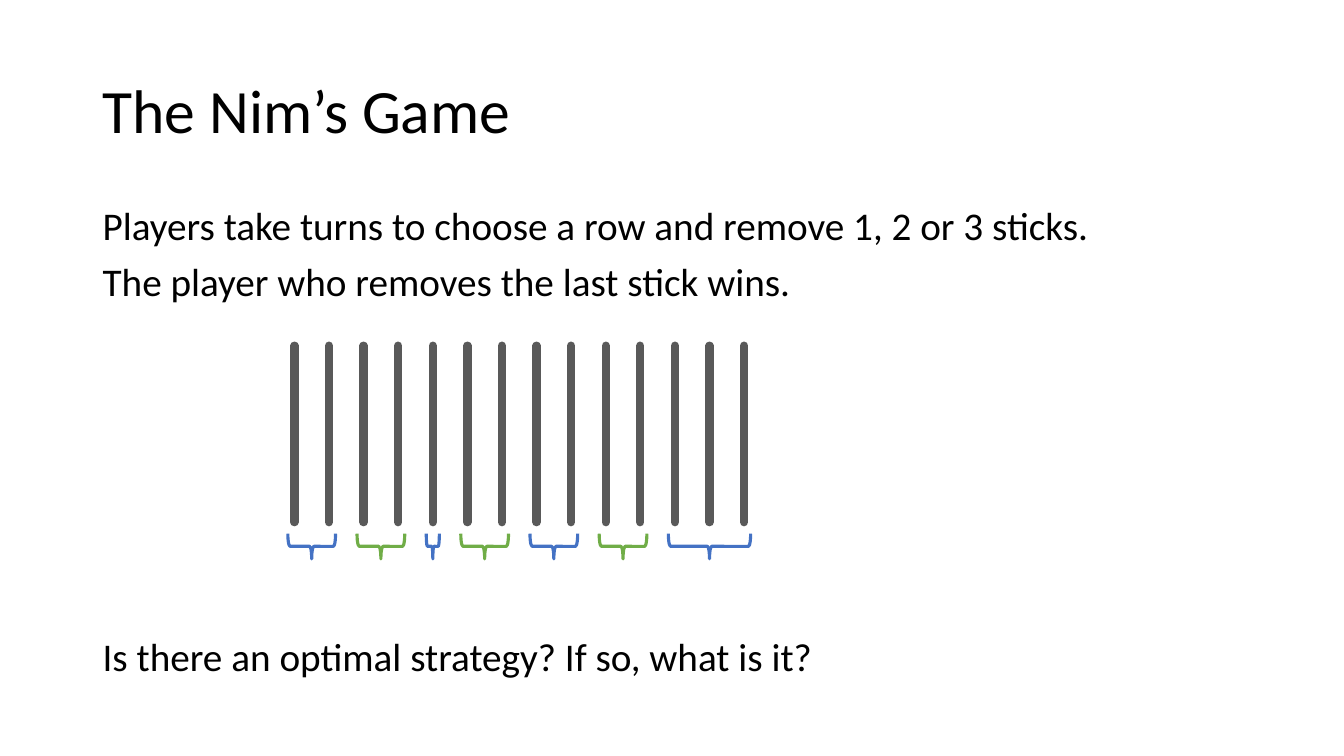
from pptx import Presentation
from pptx.util import Inches, Pt
from pptx.dml.color import RGBColor
from pptx.enum.shapes import MSO_SHAPE, MSO_CONNECTOR
from pptx.enum.text import MSO_ANCHOR
from lxml.etree import SubElement
from pptx.oxml.ns import qn

TITLE = "The Nim’s Game"
RULES = ["Players take turns to choose a row and remove 1, 2 or 3 sticks.",
         "The player who removes the last stick wins."]
QUESTION = "Is there an optimal strategy? If so, what is it?"
MOVES = [2, 2, 1, 2, 2, 2, 3]
PLAYER_COLORS = ["4472C4", "70AD47"]

STICK_LEFT, STICK_TOP, STICK_BOTTOM = 2.92, 3.43, 5.18
STICK_GAP = 4.46 / (sum(MOVES) - 1)
BRACE_DEPTH, BRACE_MARGIN, BRACE_MID = 0.25, 0.13, 5.42

prs = Presentation()
prs.slide_width, prs.slide_height = Inches(13.33), Inches(7.5)
s = prs.slides.add_slide(prs.slide_layouts[6])


def rgb(color):
    return RGBColor.from_string(color)


def add_text(lines, top, height, size=28, before=10, anchor=MSO_ANCHOR.TOP):
    box = s.shapes.add_textbox(Inches(0.92), Inches(top), Inches(11.5), Inches(height))
    tf = box.text_frame
    tf.word_wrap = True
    tf.vertical_anchor = anchor
    for i, line in enumerate(lines):
        p = tf.paragraphs[0] if i == 0 else tf.add_paragraph()
        p.line_spacing = 0.9
        p.space_before = Pt(before)
        r = p.add_run()
        r.text = line
        r.font.name, r.font.size = "Calibri", Pt(size)
        r.font.color.rgb = rgb("000000")


def add_stick(x):
    sp = s.shapes.add_connector(MSO_CONNECTOR.STRAIGHT, Inches(x), Inches(STICK_TOP),
                                Inches(x), Inches(STICK_BOTTOM))
    sp.line.color.rgb, sp.line.width = rgb("595959"), Pt(6)
    sp.line._get_or_add_ln().set("cap", "rnd")
    SubElement(sp._element.spPr, qn("a:effectLst"))


def add_brace(mid, length, color):
    sp = s.shapes.add_shape(MSO_SHAPE.RIGHT_BRACE,
                            Inches(mid - BRACE_DEPTH / 2), Inches(BRACE_MID - length / 2),
                            Inches(BRACE_DEPTH), Inches(length))
    sp.rotation = 90
    sp.shadow.inherit = False
    sp.fill.background()
    sp.line.color.rgb, sp.line.width = rgb(color), Pt(2.25)


add_text([TITLE], 0.4, 1.45, size=44, before=0, anchor=MSO_ANCHOR.MIDDLE)
add_text(RULES, 2, 1.15)

for i in range(sum(MOVES)):
    add_stick(STICK_LEFT + i * STICK_GAP)

first = 0
for turn, count in enumerate(MOVES):
    span = (count - 1) * STICK_GAP
    add_brace(STICK_LEFT + first * STICK_GAP + span / 2, span + BRACE_MARGIN,
              PLAYER_COLORS[turn % 2])
    first += count

add_text([QUESTION], 6.28, 0.58)
prs.save("out.pptx")
